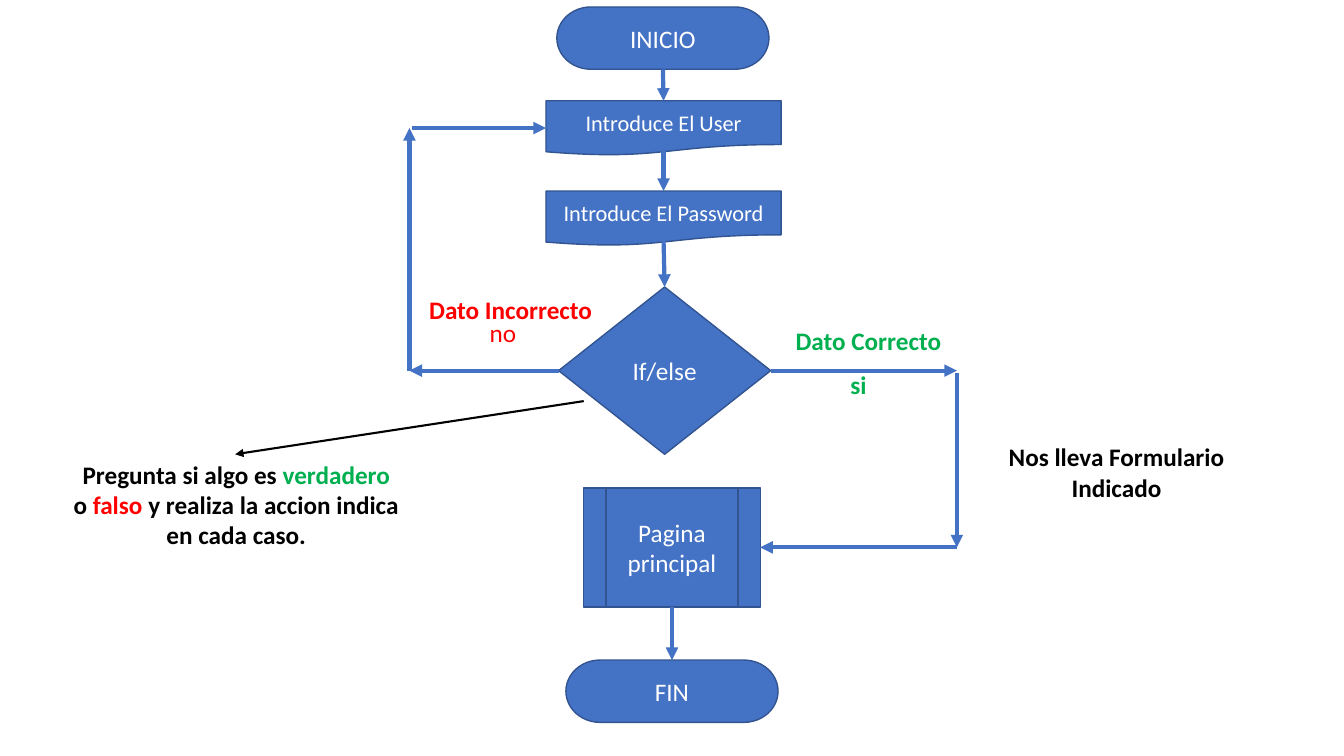
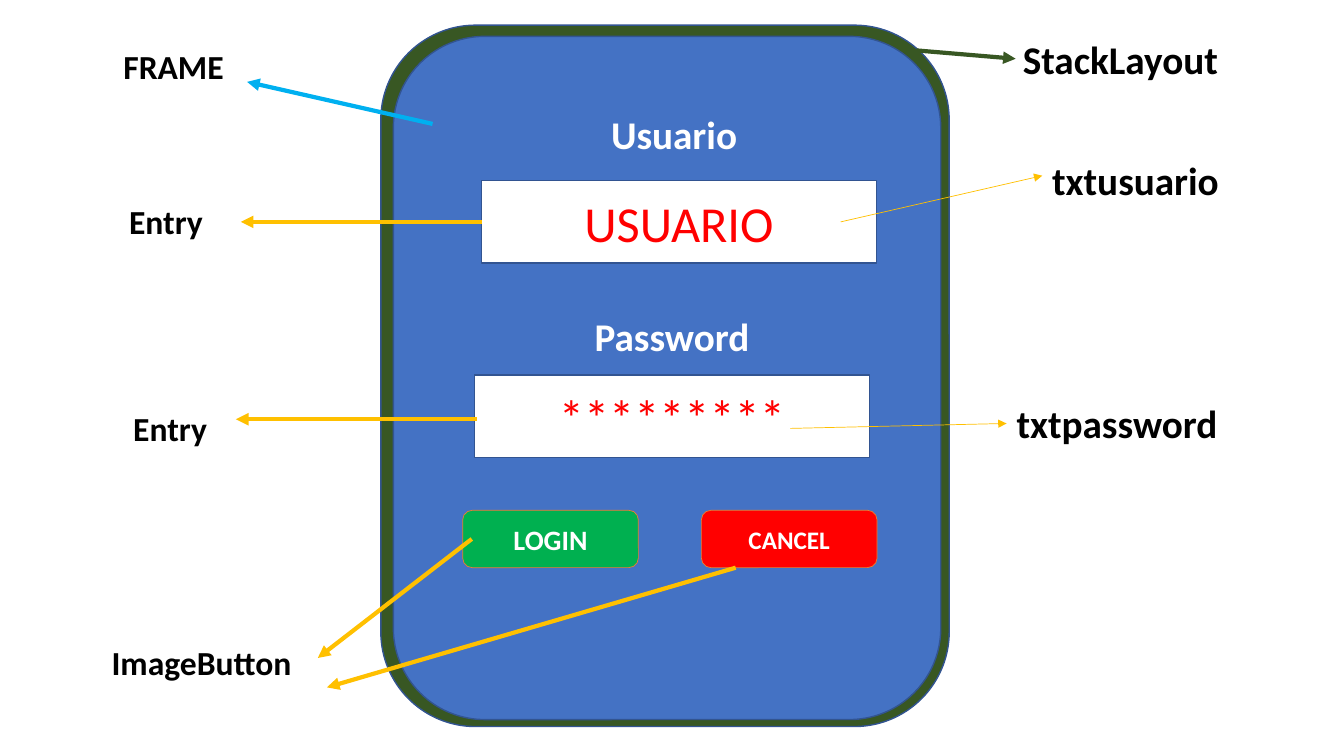
from dataclasses import dataclass

from lxml import etree
from pptx import Presentation
from pptx.dml.color import RGBColor
from pptx.enum.shapes import MSO_CONNECTOR, MSO_SHAPE
from pptx.enum.text import MSO_ANCHOR, PP_ALIGN
from pptx.oxml.ns import qn
from pptx.util import Pt


@dataclass(frozen=True)
class Theme:
    font: str = "Calibri"
    blue: str = "4472C4"
    outline: str = "325491"
    orange: str = "ED7D31"
    sky: str = "00B0F0"
    gold: str = "FFC000"
    dark_green: str = "385723"
    green: str = "00B050"
    red: str = "FF0000"
    black: str = "000000"
    white: str = "FFFFFF"
    small: int = 16
    body: int = 18
    button: int = 20
    label: int = 24
    heading: int = 28
    entry: int = 36
    hairline: float = 0.5
    thin: float = 1
    medium: float = 1.5
    thick: float = 3


THEME = Theme()
TOP, LEFT, BOTTOM, RIGHT = range(4)

# Slide 1 content: login flow chart
TERMINATOR_SIZE = (151.5, 44.5)
DOCUMENT_SIZE = (168, 39)
# name, kind, text, (left, top), (width, height), text size
FLOW_STEPS = [
    ("start", MSO_SHAPE.FLOWCHART_TERMINATOR, "INICIO", (397.75, 5), TERMINATOR_SIZE, THEME.body),
    ("user", MSO_SHAPE.FLOWCHART_DOCUMENT, "Introduce El User", (390, 72), DOCUMENT_SIZE, THEME.small),
    ("password", MSO_SHAPE.FLOWCHART_DOCUMENT, "Introduce El Password", (390, 136.5), DOCUMENT_SIZE, THEME.small),
    ("decision", MSO_SHAPE.FLOWCHART_DECISION, "If/else", (399, 205), (151.5, 119.5), THEME.body),
    ("page", MSO_SHAPE.FLOWCHART_PREDEFINED_PROCESS, "Pagina principal", (417, 348.5), (126, 85), THEME.body),
    ("end", MSO_SHAPE.FLOWCHART_TERMINATOR, "FIN", (404.25, 471.5), TERMINATOR_SIZE, THEME.body),
]
# Each end is a point or a (step name, side) pair
LOOP_X, EXIT_X, DECISION_Y, PAGE_Y = 292.5, 683.5, 264.75, 391
FLOW_ARROWS = [
    (("start", BOTTOM), ("user", TOP)),
    ((474, 108), ("password", TOP)),
    ((474, 172), ("decision", TOP)),
    (("decision", LEFT), (LOOP_X, DECISION_Y)),
    ((LOOP_X, DECISION_Y), (LOOP_X, 91.5)),
    ((LOOP_X + 2, 91.5), ("user", LEFT)),
    (("decision", RIGHT), (EXIT_X, DECISION_Y)),
    ((EXIT_X, 266.5), (EXIT_X, PAGE_Y)),
    ((EXIT_X, PAGE_Y), ("page", RIGHT)),
    (("page", BOTTOM), ("end", TOP)),
]
NOTE_ARROW = ((417, 286.5), (168, 324.5))
# text, (left, top, width, height), colour, bold
FLOW_LABELS = [
    ("si", (596, 260.5, 34.5, 29), THEME.green, True),
    ("no", (337, 223, 44.5, 29), THEME.red, False),
    ("Dato Correcto", (550, 229, 140.5, 29), THEME.green, True),
    ("Dato Incorrecto", (294.5, 206.5, 140.5, 29), THEME.red, True),
    ("Nos lleva Formulario Indicado", (695.5, 312, 204, 51), THEME.black, True),
]
NOTE_BOX = (42, 324.5, 253.5, 73)
NOTE_LINES = [
    [("Pregunta si algo es ", THEME.black), ("verdadero", THEME.green)],
    [("o ", THEME.black), ("falso", THEME.red), (" y realiza la accion indica", THEME.black)],
    [("en cada caso.", THEME.black)],
]

# Slide 2 content: annotated login form
PANELS = [
    ((272, 18, 406, 501), THEME.dark_green),
    ((281, 26, 391, 488), THEME.blue),
]
ENTRY_SIZE = (282, 59)
# name, text, (left, top)
ENTRIES = [("user", "USUARIO", (344, 129)), ("password", "*********", (339, 268))]
BUTTON_TOP, BUTTON_SIZE = 364.5, (125.5, 41)
# text, left, fill, text size
BUTTONS = [
    ("LOGIN", 330.5, THEME.green, THEME.button),
    ("CANCEL", 501, THEME.red, THEME.body),
]
# text, (left, top, width, height)
FIELD_TITLES = [
    ("Usuario", (340.5, 75, 282, 41)),
    ("Password", (339, 219.5, 282, 41)),
]
CONTROL_LABELS = [
    ("FRAME", (61, 29.5, 126, 36)),
    ("Entry", (55.5, 140, 126, 36)),
    ("Entry", (58.5, 288, 126, 36)),
    ("ImageButton", (63.5, 455, 161, 36)),
]
NAME_LABELS = [
    ("StackLayout", (723.5, 21.5, 155.5, 41)),
    ("txtusuario", (744.5, 108, 155.5, 41)),
    ("txtpassword", (719, 281.5, 211.5, 41)),
]
# from, to, colour, width
FORM_ARROWS = [
    ((600.5, 158.5), (744.5, 125.5), THEME.gold, THEME.hairline),
    ((564.5, 306), (719, 302.5), THEME.gold, THEME.hairline),
    ((309, 88.5), (176.5, 58.5), THEME.sky, THEME.thick),
    (("user", LEFT), (172, 158.5), THEME.gold, THEME.thick),
    ((340.5, 299.5), (168.5, 299.5), THEME.gold, THEME.thick),
    ((337, 385), (227, 470), THEME.gold, THEME.thick),
    ((525.5, 405.5), (233.5, 491), THEME.gold, THEME.thick),
    ((654.5, 36), (725.5, 42), THEME.dark_green, THEME.thick),
]


# Shared drawing helpers
def rgb(value):
    return RGBColor.from_string(value)


def write_text(frame, lines, size, bold=False, align=PP_ALIGN.CENTER):
    """Fill a text frame with lines, each a list of (text, colour) runs."""
    frame.word_wrap = True
    for index, line in enumerate(lines):
        paragraph = frame.add_paragraph() if index else frame.paragraphs[0]
        paragraph.alignment = align
        font = paragraph.font
        font.name, font.size, font.bold = THEME.font, Pt(size), bold
        for text, colour in line:
            run = paragraph.add_run()
            run.text = text
            run.font.color.rgb = rgb(colour)


def add_label(slide, box, lines, size, bold=True, align=PP_ALIGN.CENTER):
    label = slide.shapes.add_textbox(*map(Pt, box))
    write_text(label.text_frame, lines, size, bold, align)


def add_block(slide, kind, box, fill, line=THEME.outline, line_width=THEME.thin):
    shape = slide.shapes.add_shape(kind, *map(Pt, box))
    shape.shadow.inherit = False
    shape.fill.solid()
    shape.fill.fore_color.rgb = rgb(fill)
    shape.line.color.rgb = rgb(line)
    shape.line.width = Pt(line_width)
    shape.text_frame.vertical_anchor = MSO_ANCHOR.MIDDLE
    return shape


def add_arrow(slide, start, end, colour, width, blocks):
    """Draw an arrow; an end naming a block is joined to that block's side."""
    points = [(0, 0) if tip[0] in blocks else tip for tip in (start, end)]
    connector = slide.shapes.add_connector(
        MSO_CONNECTOR.STRAIGHT, *(Pt(value) for point in points for value in point))
    for tip, join in ((start, connector.begin_connect), (end, connector.end_connect)):
        if tip[0] in blocks:
            join(blocks[tip[0]], tip[1])
    connector.line.color.rgb = rgb(colour)
    connector.line.width = Pt(width)
    etree.SubElement(connector.line._get_or_add_ln(), qn("a:tailEnd"), type="triangle")
    etree.SubElement(connector._element.spPr, qn("a:effectLst"))


# Slides
def build_flow_chart(slide):
    steps = {}
    for name, kind, text, position, size, text_size in FLOW_STEPS:
        steps[name] = add_block(slide, kind, position + size, THEME.blue)
        write_text(steps[name].text_frame, [[(text, THEME.white)]], text_size)
    for start, end in FLOW_ARROWS:
        add_arrow(slide, start, end, THEME.blue, THEME.thick, steps)
    add_arrow(slide, *NOTE_ARROW, THEME.black, THEME.medium, steps)
    for text, box, colour, bold in FLOW_LABELS:
        add_label(slide, box, [[(text, colour)]], THEME.body, bold)
    add_label(slide, NOTE_BOX, NOTE_LINES, THEME.body)


def build_login_form(slide):
    for box, fill in PANELS:
        add_block(slide, MSO_SHAPE.ROUNDED_RECTANGLE, box, fill)
    entries = {}
    for name, text, position in ENTRIES:
        entries[name] = add_block(slide, MSO_SHAPE.RECTANGLE, position + ENTRY_SIZE, THEME.white)
        write_text(entries[name].text_frame, [[(text, THEME.red)]], THEME.entry)
    for text, left, fill, text_size in BUTTONS:
        button = add_block(slide, MSO_SHAPE.ROUNDED_RECTANGLE, (left, BUTTON_TOP) + BUTTON_SIZE,
                           fill, THEME.orange, THEME.hairline)
        write_text(button.text_frame, [[(text, THEME.white)]], text_size, bold=True)
    label_groups = [
        (FIELD_TITLES, THEME.white, THEME.heading, PP_ALIGN.CENTER),
        (CONTROL_LABELS, THEME.black, THEME.label, PP_ALIGN.CENTER),
        (NAME_LABELS, THEME.black, THEME.heading, PP_ALIGN.LEFT),
    ]
    for labels, colour, text_size, align in label_groups:
        for text, box in labels:
            add_label(slide, box, [[(text, colour)]], text_size, align=align)
    for start, end, colour, width in FORM_ARROWS:
        add_arrow(slide, start, end, colour, width, entries)


def main():
    presentation = Presentation()
    presentation.slide_width, presentation.slide_height = Pt(960), Pt(540)
    blank = presentation.slide_layouts[6]
    for build in (build_flow_chart, build_login_form):
        build(presentation.slides.add_slide(blank))
    presentation.save("out.pptx")


if __name__ == "__main__":
    main()
